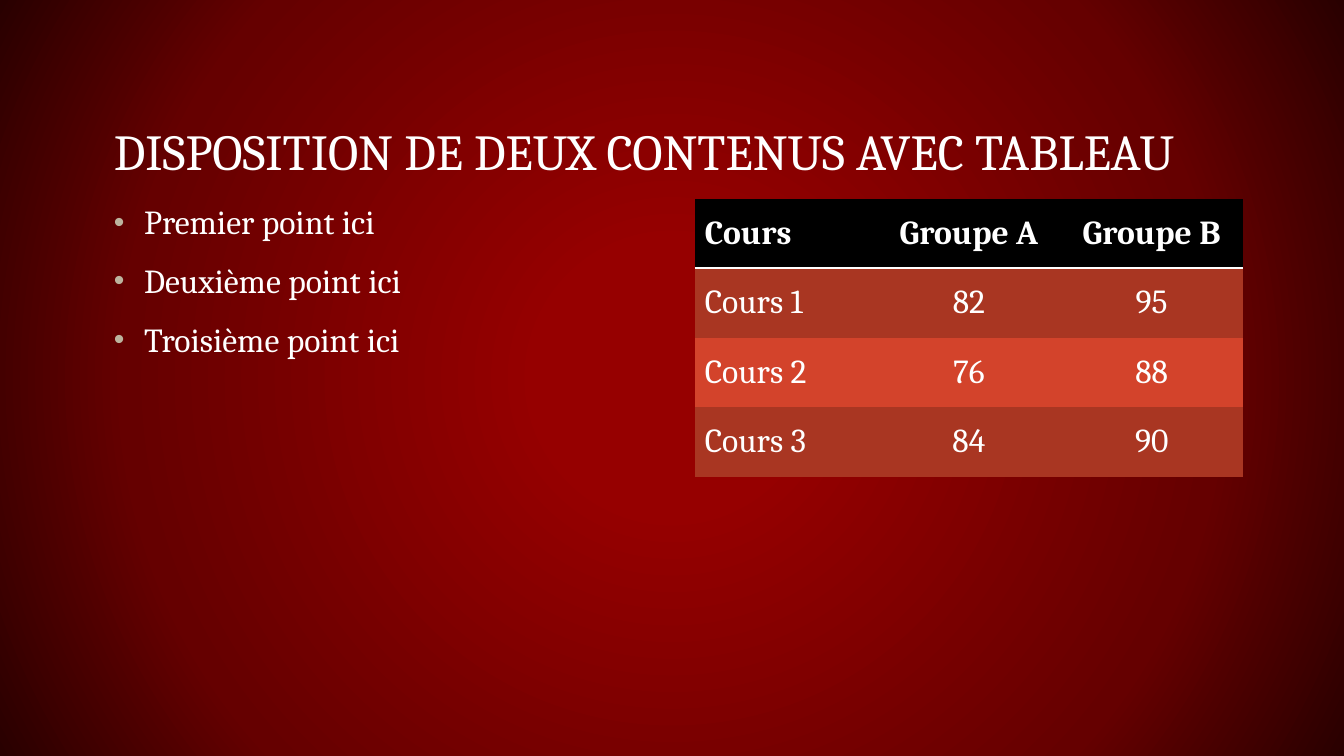
from lxml.etree import SubElement
from pptx import Presentation
from pptx.dml.color import RGBColor
from pptx.enum.text import MSO_ANCHOR as Anchor, MSO_AUTO_SIZE as AutoSize, PP_ALIGN as Align
from pptx.oxml import parse_xml
from pptx.oxml.ns import nsdecls, qn
from pptx.util import Inches, Pt

WHITE = RGBColor(0xFF, 0xFF, 0xFF)
BLACK = RGBColor(0x00, 0x00, 0x00)
BRICK = RGBColor(0xA9, 0x36, 0x22)
CORAL = RGBColor(0xD3, 0x43, 0x2B)
SAND = RGBColor(0xBC, 0xB4, 0x9E)
GLOW = [(17, RGBColor(0x96, 0, 0)), (71, RGBColor(0x65, 0, 0)), (100, RGBColor(0x29, 0, 0))]
FONT = "Cambria"
NO_STYLE = "{2D5ABB26-0587-4C30-8999-92F81FD0307C}"

MARGIN = Inches(1)
COLUMN = Inches(5.44)
CONTENT_TOP = Inches(1.97)
ROW = Inches(0.69)

POINTS = ["Premier point ici", "Deuxième point ici", "Troisième point ici"]
GRADES = [
    ("Cours", "Groupe A", "Groupe B"),
    ("Cours\u00a01", "82", "95"),
    ("Cours\u00a02", "76", "88"),
    ("Cours\u00a03", "84", "90"),
]


def style_paragraph(paragraph, size, align=Align.LEFT, bold=False):
    """Set the alignment and the white font of a paragraph."""
    paragraph.alignment = align
    font = paragraph.font
    font.name, font.size, font.bold = FONT, Pt(size), bold
    font.color.rgb = WHITE


def set_frame(frame, anchor):
    """Give a text frame the slide's insets, wrapping and anchor."""
    frame.margin_left = frame.margin_right = Inches(0.13)
    frame.margin_top = frame.margin_bottom = Inches(0.07)
    frame.word_wrap, frame.auto_size = True, AutoSize.NONE
    frame.vertical_anchor = anchor


deck = Presentation()
deck.slide_width, deck.slide_height = Inches(13.33), Inches(7.5)
slide = deck.slides.add_slide(deck.slide_layouts[5])

# Radial background
slide.background.fill.gradient()
gradient = slide.element.find(".//" + qn("a:gradFill"))
stops = "".join(
    f'<a:gs pos="{share * 1000}"><a:srgbClr val="{color}"/></a:gs>' for share, color in GLOW
)
gradient.getparent().replace(gradient, parse_xml(
    f'<a:gradFill {nsdecls("a")} rotWithShape="1"><a:gsLst>{stops}</a:gsLst>'
    '<a:path path="circle"><a:fillToRect l="50000" t="50000" r="50000" b="50000"/></a:path>'
    "</a:gradFill>"
))

# Title
title = slide.shapes.title
title.left, title.top = MARGIN, Inches(0.53)
title.width, title.height = deck.slide_width - 2 * MARGIN, Inches(1.33)
set_frame(title.text_frame, Anchor.BOTTOM)
title.text_frame.text = "DISPOSITION DE DEUX CONTENUS AVEC TABLEAU"
heading = title.text_frame.paragraphs[0]
heading.line_spacing = 0.8
style_paragraph(heading, 36)

# Bullet points
points = slide.shapes.add_textbox(MARGIN, CONTENT_TOP, COLUMN, Inches(4.89)).text_frame
set_frame(points, Anchor.TOP)
points.text = "\n".join(POINTS)
for point in points.paragraphs:
    style_paragraph(point, 24)
    point.line_spacing, point.space_before = 0.9, Pt(16)
    layout = point._p.get_or_add_pPr()
    layout.set("marL", str(Inches(0.3)))
    layout.set("indent", str(-Inches(0.3)))
    bullet = [
        f'<a:buClr {nsdecls("a")}><a:srgbClr val="{SAND}"/></a:buClr>',
        f'<a:buSzPct {nsdecls("a")} val="90000"/>',
        f'<a:buFont {nsdecls("a")} typeface="Arial"/>',
        f'<a:buChar {nsdecls("a")} char="•"/>',
    ]
    for position, part in enumerate(bullet, start=layout.index(layout.find(qn("a:defRPr")))):
        layout.insert(position, parse_xml(part))

# Table of grades
table_left = deck.slide_width - MARGIN - COLUMN
grades = slide.shapes.add_table(
    len(GRADES), len(GRADES[0]), table_left, CONTENT_TOP, COLUMN, ROW * len(GRADES)
).table
grades._tbl.tblPr.find(qn("a:tableStyleId")).text = NO_STYLE
for row, (values, color) in enumerate(zip(GRADES, [BLACK, BRICK, CORAL, BRICK])):
    for column, value in enumerate(values):
        cell = grades.cell(row, column)
        cell.text, cell.vertical_anchor = value, Anchor.MIDDLE
        style_paragraph(cell.text_frame.paragraphs[0], 24,
                        Align.CENTER if column else Align.LEFT, bold=row == 0)
        cell.fill.solid()
        cell.fill.fore_color.rgb = color
        if row == 0:
            border = parse_xml(f'<a:lnB {nsdecls("a")} w="{Pt(2)}"/>')
            SubElement(SubElement(border, qn("a:solidFill")), qn("a:srgbClr"), val=str(WHITE))
            cell._tc.get_or_add_tcPr().insert(0, border)

deck.save("out.pptx")
